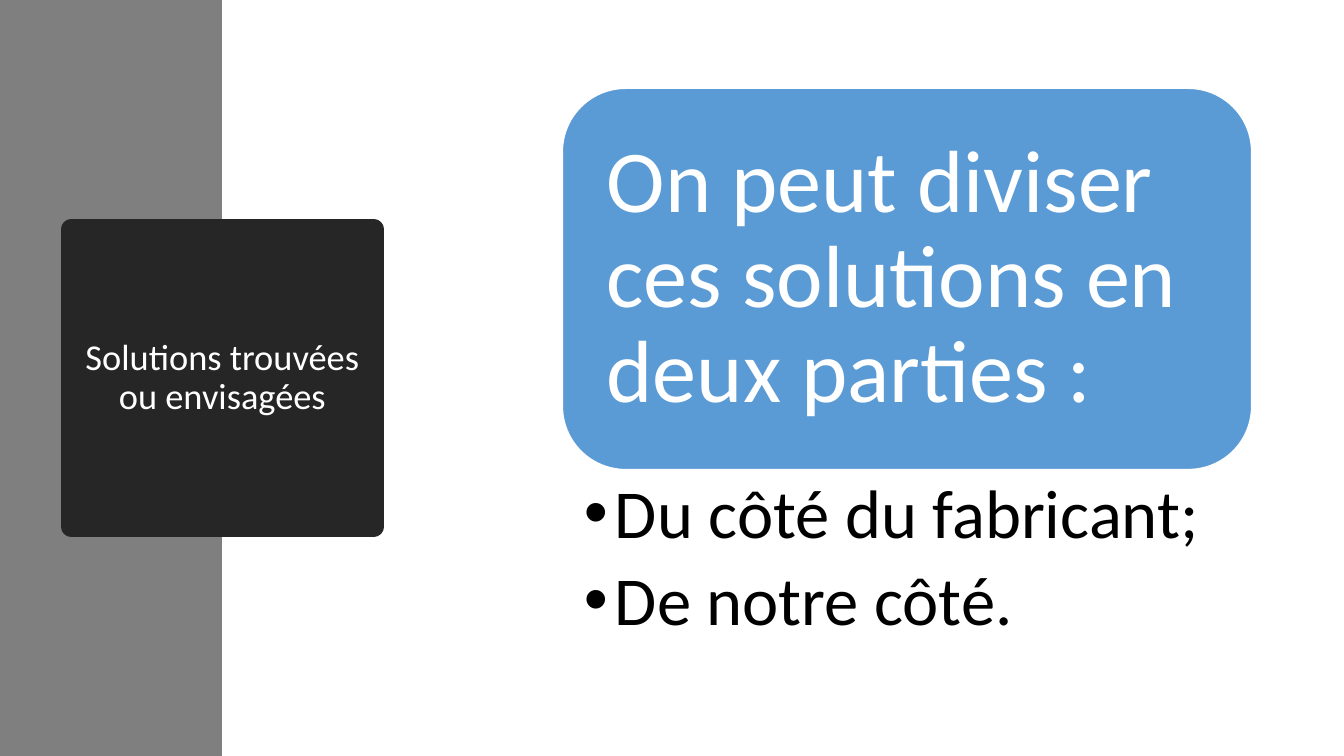
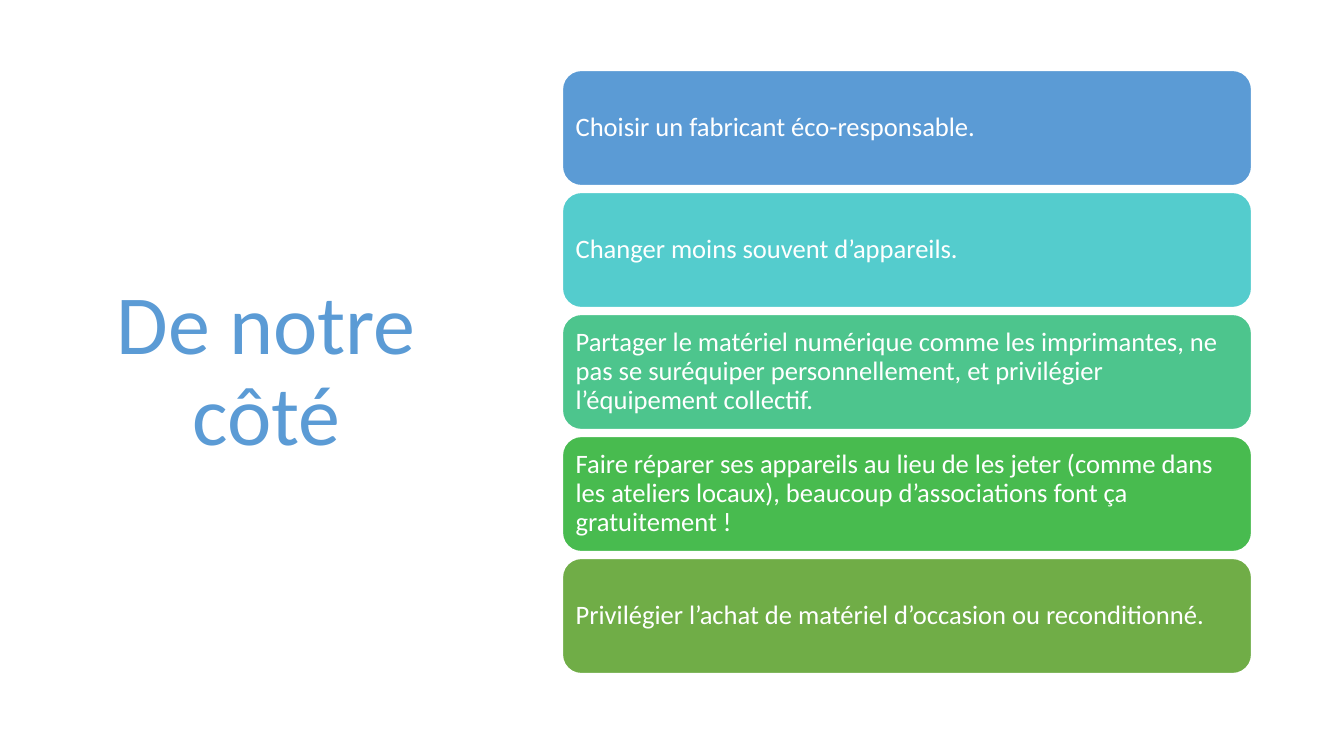
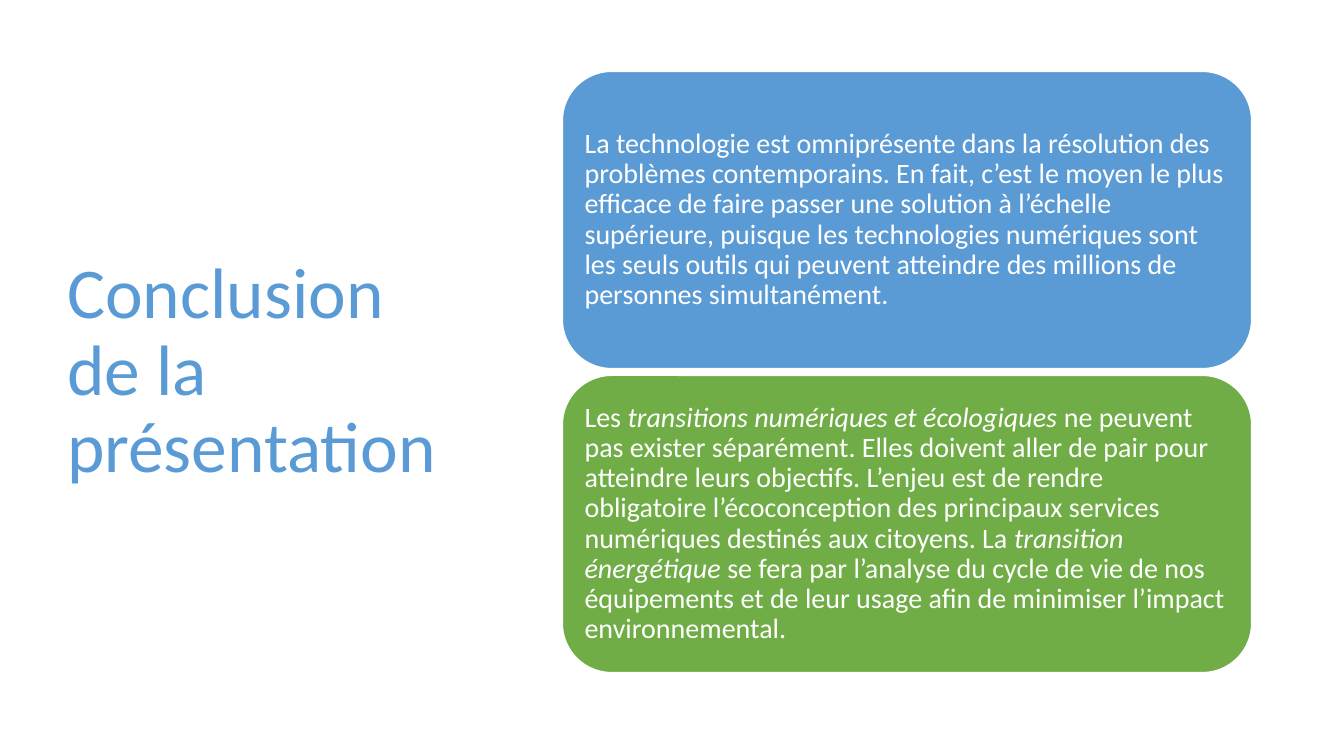
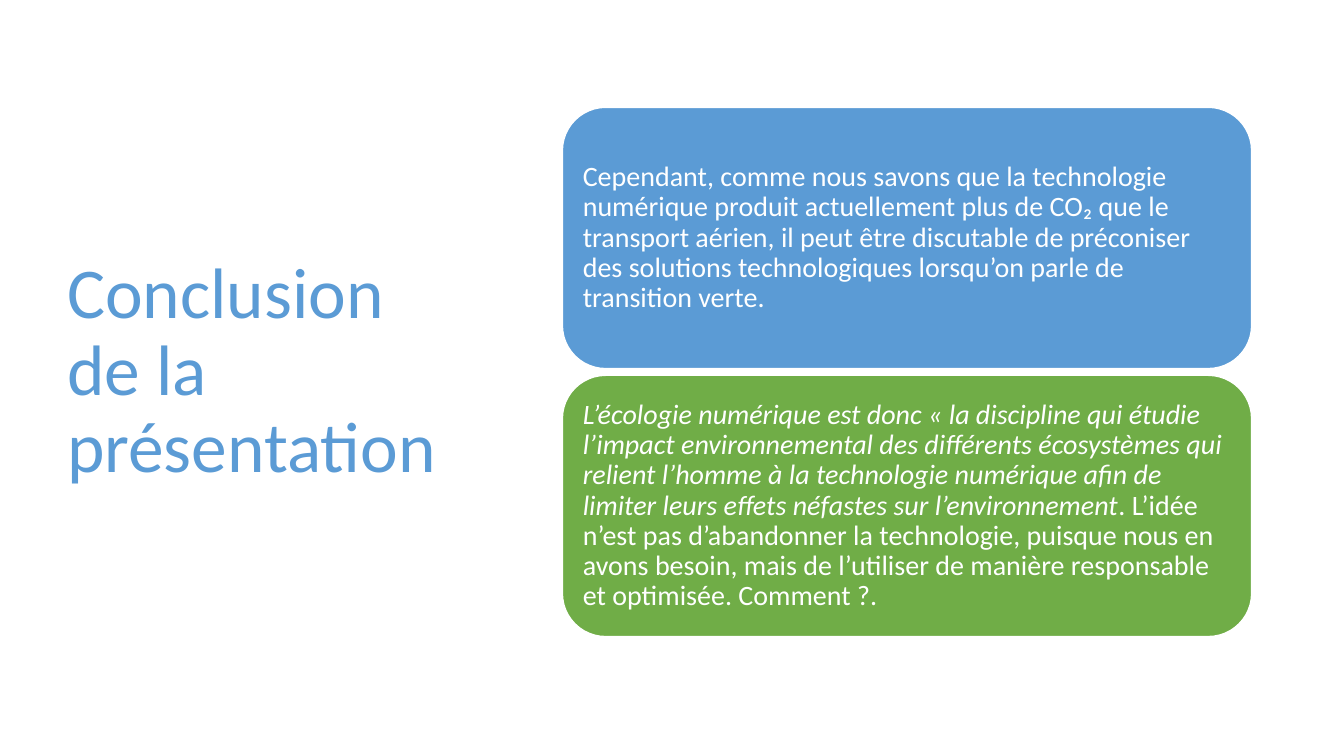
from dataclasses import dataclass

from lxml.etree import SubElement
from pptx import Presentation
from pptx.dml.color import RGBColor
from pptx.enum.shapes import MSO_SHAPE
from pptx.enum.text import MSO_ANCHOR, MSO_AUTO_SIZE, PP_ALIGN
from pptx.oxml.ns import qn
from pptx.presentation import Presentation as Deck
from pptx.shapes.base import BaseShape
from pptx.slide import Slide
from pptx.text.text import TextFrame, _Paragraph as Paragraph
from pptx.util import Emu, Pt

FONT = "Calibri"
COLORS = {
    "white": "FFFFFF",
    "black": "000000",
    "band": "7F7F7F",
    "dark": "262626",
    "blue": "5B9BD5",
    "turquoise": "54CCCD",
    "mint": "4DC58D",
    "emerald": "48BB4F",
    "green": "70AD47",
}
LAYOUT_TITLE_AND_LIST = 1
LAYOUT_TITLE_ONLY = 5
SLIDE_WIDTH, SLIDE_HEIGHT = 1344, 756
CARD_LEFT, CARD_WIDTH, CARD_GAP = 562, 690, 6


@dataclass(frozen=True)
class Box:
    left: int
    top: int
    width: int
    height: int


@dataclass(frozen=True)
class Span:
    text: str
    italic: bool = False


@dataclass(frozen=True)
class Card:
    color: str
    spans: tuple[Span, ...]


@dataclass(frozen=True)
class CardStack:
    top: int
    card_height: int
    text_size: int
    inset: int
    cards: tuple[Card, ...]


@dataclass(frozen=True)
class Title:
    text: str
    size: int
    align: PP_ALIGN = PP_ALIGN.LEFT
    color: str = "blue"
    box: Box = Box(57, 69, 419, 607)


@dataclass(frozen=True)
class SlideContent:
    title: Title
    stack: CardStack


def px(length: int) -> Emu:
    return Emu(round(length * 914400 / 100.8))


def rgb(name: str) -> RGBColor:
    return RGBColor.from_string(COLORS[name])


def place(shape: BaseShape, box: Box) -> None:
    shape.left, shape.top = px(box.left), px(box.top)
    shape.width, shape.height = px(box.width), px(box.height)


def set_frame(frame: TextFrame, anchor: MSO_ANCHOR) -> None:
    frame.word_wrap = True
    frame.auto_size = MSO_AUTO_SIZE.NONE
    frame.vertical_anchor = anchor


def set_insets(frame: TextFrame, left: int, top: int, right: int, bottom: int) -> None:
    frame.margin_left, frame.margin_top = px(left), px(top)
    frame.margin_right, frame.margin_bottom = px(right), px(bottom)


def write(paragraph: Paragraph, spans: tuple[Span, ...], size: int, color: str,
          align: PP_ALIGN = PP_ALIGN.LEFT) -> None:
    paragraph.alignment = align
    paragraph.line_spacing = 0.9
    paragraph.space_before = Pt(0)
    for span in spans:
        run = paragraph.add_run()
        run.text = span.text
        run.font.name = FONT
        run.font.size = Pt(size)
        run.font.italic = span.italic
        run.font.color.rgb = rgb(color)


def add_block(slide: Slide, kind: MSO_SHAPE, box: Box, color: str) -> BaseShape:
    block = slide.shapes.add_shape(
        kind, px(box.left), px(box.top), px(box.width), px(box.height))
    block.shadow.inherit = False
    block.fill.solid()
    block.fill.fore_color.rgb = rgb(color)
    block.line.fill.background()
    return block


def set_title(slide: Slide, title: Title) -> None:
    heading = slide.shapes.title
    place(heading, title.box)
    set_frame(heading.text_frame, MSO_ANCHOR.MIDDLE)
    write(heading.text_frame.paragraphs[0], (Span(title.text),),
          title.size, title.color, title.align)


def add_cards(slide: Slide, stack: CardStack) -> None:
    for index, card in enumerate(stack.cards):
        top = stack.top + index * (stack.card_height + CARD_GAP)
        block = add_block(slide, MSO_SHAPE.ROUNDED_RECTANGLE,
                          Box(CARD_LEFT, top, CARD_WIDTH, stack.card_height), card.color)
        block.line.color.rgb = rgb("white")
        block.line.width = Pt(1.5)
        set_frame(block.text_frame, MSO_ANCHOR.MIDDLE)
        set_insets(block.text_frame, *[stack.inset] * 4)
        write(block.text_frame.paragraphs[0], card.spans, stack.text_size, "white")


def add_side_band(slide: Slide) -> None:
    """Put the band behind the title and turn the title into a dark panel."""
    heading = slide.shapes.title
    band = add_block(slide, MSO_SHAPE.RECTANGLE, Box(0, 0, 222, SLIDE_HEIGHT), "band")
    heading.element.addprevious(band.element)
    heading.fill.solid()
    heading.fill.fore_color.rgb = rgb("dark")
    heading.line.color.rgb = rgb("dark")
    heading.line.width = Pt(13.75)


def set_list(slide: Slide, box: Box, items: tuple[str, ...], size: int) -> None:
    body = slide.placeholders[1]
    place(body, box)
    frame = body.text_frame
    set_frame(frame, MSO_ANCHOR.TOP)
    set_insets(frame, 22, 9, 49, 9)
    for index, item in enumerate(items):
        paragraph = frame.add_paragraph() if index else frame.paragraphs[0]
        properties = paragraph._p.get_or_add_pPr()
        properties.set("marL", str(px(31)))
        properties.set("indent", str(-px(31)))
        SubElement(properties, qn("a:buChar")).set("char", "•")
        write(paragraph, (Span(item),), size, "black")
        paragraph.space_after = Pt(9)


def add_content_slide(deck: Deck, content: SlideContent,
                      layout: int = LAYOUT_TITLE_ONLY) -> Slide:
    slide = deck.slides.add_slide(deck.slide_layouts[layout])
    set_title(slide, content.title)
    add_cards(slide, content.stack)
    return slide


SOLUTIONS = SlideContent(
    Title("Solutions trouvées ou envisagées", 26, PP_ALIGN.CENTER, "white",
          Box(71, 229, 303, 298)),
    CardStack(88, 382, 63, 26, (
        Card("blue", (Span("On peut diviser ces solutions en deux parties :"),)),
    )),
)
SIDES = ("Du côté du fabricant;", "De notre côté.")

OUR_SIDE = SlideContent(
    Title("De notre côté", 60, PP_ALIGN.CENTER),
    CardStack(70, 116, 19, 8, (
        Card("blue", (Span("Choisir un fabricant éco-responsable."),)),
        Card("turquoise", (Span("Changer moins souvent d’appareils."),)),
        Card("mint", (Span(
            "Partager le matériel numérique comme les imprimantes, ne pas se suréquiper "
            "personnellement, et privilégier l’équipement collectif."),)),
        Card("emerald", (Span(
            "Faire réparer ses appareils au lieu de les jeter (comme dans les ateliers locaux), "
            "beaucoup d’associations font ça gratuitement !"),)),
        Card("green", (Span(
            "Privilégier l’achat de matériel d’occasion ou reconditionné."),)),
    )),
)

CONCLUSION_TITLE = Title("Conclusion de la présentation", 51)

TRANSITIONS = SlideContent(
    CONCLUSION_TITLE,
    CardStack(71, 298, 20, 8, (
        Card("blue", (Span(
            "La technologie est omniprésente dans la résolution des problèmes contemporains. "
            "En fait, c’est le moyen le plus efficace de faire passer une solution à l’échelle "
            "supérieure, puisque les technologies numériques sont les seuls outils qui peuvent "
            "atteindre des millions de personnes simultanément."),)),
        Card("green", (
            Span("Les"),
            Span(" transitions numériques et écologiques", italic=True),
            Span(" ne peuvent pas exister séparément. Elles doivent aller de pair pour atteindre "
                 "leurs objectifs. L’enjeu est de rendre obligatoire l’écoconception des "
                 "principaux services numériques destinés aux citoyens. La "),
            Span("transition énergétique", italic=True),
            Span(" se fera par l’analyse du cycle de vie de nos équipements et de leur usage "
                 "afin de minimiser l’impact environnemental."),
        )),
    )),
)

DIGITAL_ECOLOGY = SlideContent(
    CONCLUSION_TITLE,
    CardStack(107, 262, 20, 8, (
        Card("blue", (Span(
            "Cependant, comme nous savons que la technologie numérique produit actuellement "
            "plus de CO₂ que le transport aérien, il peut être discutable de préconiser des "
            "solutions technologiques lorsqu’on parle de transition verte."),)),
        Card("green", (
            Span("L’écologie numérique est donc « la discipline qui étudie l’impact "
                 "environnemental des différents écosystèmes qui relient l’homme à la "
                 "technologie numérique afin de limiter leurs effets néfastes sur "
                 "l’environnement", italic=True),
            Span(". L’idée n’est pas d’abandonner la technologie, puisque nous en avons besoin, "
                 "mais de l’utiliser de manière responsable et optimisée. Comment ?."),
        )),
    )),
)


def main() -> None:
    deck = Presentation()
    deck.slide_width, deck.slide_height = px(SLIDE_WIDTH), px(SLIDE_HEIGHT)
    solutions = add_content_slide(deck, SOLUTIONS, LAYOUT_TITLE_AND_LIST)
    add_side_band(solutions)
    set_list(solutions, Box(CARD_LEFT, 470, CARD_WIDTH, 186), SIDES, 49)
    for content in (OUR_SIDE, TRANSITIONS, DIGITAL_ECOLOGY):
        add_content_slide(deck, content)
    deck.save("out.pptx")


if __name__ == "__main__":
    main()
